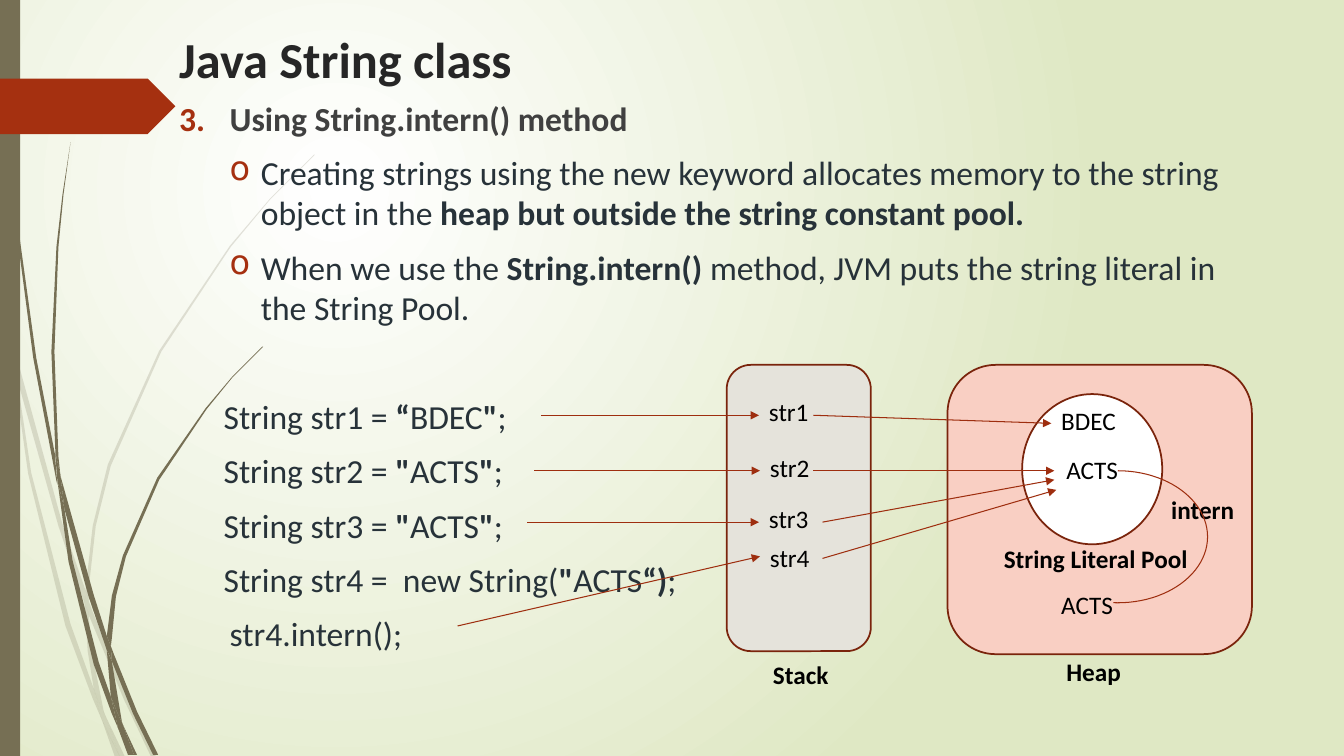
import pptx
import pptx.util
import pptx.dml.color
import pptx.enum.shapes
import pptx.enum.text
import pptx.oxml.ns
import lxml.etree
from dataclasses import dataclass

Inches = pptx.util.Inches
Pt = pptx.util.Pt
Shapes = pptx.enum.shapes.MSO_SHAPE
qn = pptx.oxml.ns.qn


@dataclass(frozen=True)
class Theme:
    font: str = "Calibri"
    title_size: int = 36
    body_size: int = 24
    label_size: int = 18
    outline_width: float = 1.25
    arrow_width: float = 0.75
    accent: str = "A53010"
    outline: str = "7A240C"
    arrow: str = "9E2E0F"
    grass: str = "766F54"
    title: str = "262626"
    heading: str = "404040"
    body: str = "273239"
    label: str = "000000"
    heap: str = "F9CFC3"
    stack: str = "E5E3DB"
    white: str = "FFFFFF"
    backdrop: str = "DFE8C4"


THEME = Theme()

FADED_BLADES = (
    "0.11,3.5 0.09,3.22 0,2.82 0,2.99 0.1,3.44",
    "0.58,5.22 0.84,5.99 0.85,5.86 0.62,5.2 0.14,3.45 0.17,3.76",
    "0.92,6.07 0.88,5.96 0.88,6.1 1.23,6.94 1.5,7.51 1.55,7.51 1.27,6.92",
    "1.19,7.51 1.24,7.51 1.05,7.11",
    "0.93,6.83 0.7,6.19 0.31,4.69 0.17,3.76 0.11,3.5 0.28,4.7 0.65,6.21 0.92,6.93 1.01,7.14 0.99,7.07",
    "0.84,5.99 0.87,6.46 0.93,6.83 0.96,6.92 1.05,7.11 1.03,7.06 0.91,6.46 0.88,6.1 0.88,6.08",
    "0.88,5.84 0.95,5.22 1.1,4.62 1.6,3.49 2.29,2.45 2.68,1.98 3.12,1.54 3.12,1.53 2.68,1.97 2.28,2.44 "
    "1.58,3.48 1.07,4.61 0.92,5.22 0.85,5.84 0.85,5.86 0.88,5.96",
    "1.01,7.14 1.14,7.51 1.19,7.51",
    "0.88,6.08 0.88,6.1 0.88,5.96 0.85,5.86 0.84,5.99",
    "0.96,6.92 0.93,6.83 0.99,7.07 1.01,7.14 1.19,7.51 1.05,7.11",
)
DARK_BLADES = (
    "0.07,1.1 0.17,2.33 0.33,3.55 0.56,4.77 0.57,4.81 0.55,4.57 0.55,4.53 0.36,3.55 0.19,2.32 0.08,1.09 "
    "0.05,0.48 0.04,0 0.03,0 0.04,0.48",
    "0.88,5.92 1.06,6.45 1.06,6.31 0.93,5.9 0.6,4.72 0.64,5.05",
    "1.13,6.49 1.1,6.41 1.11,6.56 1.32,7.08 1.52,7.49 1.57,7.49 1.36,7.06",
    "1.1,6.91 0.98,6.57 0.72,5.56 0.64,5.05 0.57,4.77 0.68,5.57 0.93,6.59 1.11,7.08 1.17,7.22 1.16,7.17",
    "0.6,4.72 0.58,4.53 0.54,3.49 0.58,2.45 0.63,1.93 0.7,1.41 0.62,1.93 0.56,2.45 0.51,3.49 0.55,4.49",
    "1.33,7.49 1.36,7.49 1.22,7.19",
    "0.57,4.77 0.64,5.05 0.6,4.72 0.55,4.49 0.55,4.53",
    "1.11,6.33 1.15,5.92 1.25,5.52 1.58,4.76 2.05,4.06 2.31,3.74 2.61,3.44 2.6,3.44 2.31,3.73 2.04,4.05 "
    "1.56,4.74 1.22,5.51 1.11,5.91 1.06,6.31 1.1,6.41",
    "1.17,7.22 1.27,7.49 1.31,7.49",
    "1.06,6.45 1.1,6.91 1.16,7.06 1.22,7.19 1.21,7.16 1.11,6.56",
    "1.06,6.45 1.09,6.51 1.11,6.56 1.1,6.41 1.06,6.31",
    "1.16,7.06 1.1,6.91 1.16,7.17 1.17,7.22 1.3,7.49 1.33,7.49 1.22,7.19",
)


def rgb(value):
    return pptx.dml.color.RGBColor.from_string(value)


def append_xml(parent, tag, **attributes):
    return lxml.etree.SubElement(parent, qn(tag), attributes)


def paint_background(slide):
    fill = slide.background.fill
    fill.gradient()
    for stop, position, colour in zip(fill.gradient_stops, (0, 1), (THEME.white, THEME.backdrop)):
        stop.position = position
        stop.color.rgb = rgb(colour)
    direction = slide._element.find(".//" + qn("a:lin"))
    circle = append_xml(direction.getparent(), "a:path", path="circle")
    append_xml(circle, "a:fillToRect", l="50000", t="50000", r="100000", b="100000")
    direction.getparent().remove(direction)


def style(shape, fill=None, line=None, width=THEME.outline_width):
    shape.shadow.inherit = False
    shape.fill.background()
    shape.line.fill.background()
    if fill:
        shape.fill.solid()
        shape.fill.fore_color.rgb = rgb(fill)
    if line:
        shape.line.color.rgb = rgb(line)
        shape.line.width = Pt(width)
    return shape


def add_block(slide, kind, box, fill=None, line=None, width=THEME.outline_width):
    return style(slide.shapes.add_shape(kind, *map(Inches, box)), fill, line, width)


def add_blade(slide, outline, opacity):
    points = [tuple(Inches(float(value)) for value in point.split(",")) for point in outline.split()]
    builder = slide.shapes.build_freeform(*points[0])
    builder.add_line_segments(points[1:])
    blade = style(builder.convert_to_shape(), THEME.grass)
    if opacity < 100:
        append_xml(blade._element.spPr.find(".//" + qn("a:srgbClr")), "a:alpha", val=str(opacity * 1000))


def format_run(run, size, colour, bold=False):
    run.font.name = THEME.font
    run.font.size = Pt(size)
    run.font.color.rgb = rgb(colour)
    run.font.bold = bold


def add_text(slide, box, text, size=THEME.label_size, colour=THEME.label, bold=False):
    label = slide.shapes.add_textbox(*map(Inches, box))
    label.text_frame.word_wrap = True
    label.text_frame.text = text
    format_run(label.text_frame.paragraphs[0].runs[0], size, colour, bold)
    return label


def add_item(paragraph, pieces, margin, hanging=0, before=10, bullet=None, **bullet_settings):
    paragraph.space_before = Pt(before)
    for index, piece in enumerate(pieces):
        run = paragraph.add_run()
        run.text = piece
        format_run(run, THEME.body_size, THEME.body, index % 2 == 1)
    properties = paragraph._p.get_or_add_pPr()
    properties.set("marL", str(Inches(margin)))
    properties.set("indent", str(-Inches(hanging)))
    if bullet:
        append_xml(append_xml(properties, "a:buClr"), "a:srgbClr", val=THEME.accent)
        append_xml(properties, bullet, **bullet_settings)


def add_body(slide):
    frame = add_text(slide, (1.68, 0.92, 10.74, 5.84), "Using String.intern() method",
                     THEME.body_size, THEME.heading, True).text_frame
    add_item(frame.paragraphs[0], [], 0.5, 0.5, bullet="a:buAutoNum", type="arabicPeriod", startAt="3")
    for pieces in (
        ["Creating strings using the new keyword allocates memory to the string object in the ",
         "heap but outside the string constant pool."],
        ["When we use the ", "String.intern() ", "method, JVM puts the string literal in the String Pool."],
    ):
        add_item(frame.add_paragraph(), pieces, 0.81, 0.31, bullet="a:buChar", char="o")
    for pieces, margin, before in (
        (["String str1 = ", "“", "BDEC", '"', ";"], 0.44, 49),
        (["String str2 = ", '"', "ACTS", '"', ";"], 0.44, 10),
        (["String str3 = ", '"', "ACTS", '"', ";"], 0.44, 10),
        (["String str4 =  new String(", '"', "ACTS", "“)", ";"], 0.44, 10),
        (["str4.intern();"], 0.5, 10),
    ):
        add_item(frame.add_paragraph(), pieces, margin, before=before)


def add_arrow(slide, start, end, target=None):
    arrow = slide.shapes.add_connector(pptx.enum.shapes.MSO_CONNECTOR.STRAIGHT, *map(Inches, start + end))
    if target:
        arrow.end_connect(target, 1)
    arrow.line.color.rgb = rgb(THEME.arrow)
    arrow.line.width = Pt(THEME.arrow_width)
    append_xml(arrow._element.spPr.find(qn("a:ln")), "a:tailEnd", type="triangle")
    append_xml(arrow._element.spPr, "a:effectLst")


def add_memory(slide):
    add_block(slide, Shapes.ROUNDED_RECTANGLE, (9.4, 3.62, 3.02, 2.87), THEME.heap, THEME.outline)
    pool = add_block(slide, Shapes.OVAL, (10.14, 3.91, 1.39, 1.49), THEME.white, THEME.outline).text_frame
    pool.text = "ACTS"
    pool.vertical_anchor = pptx.enum.text.MSO_ANCHOR.MIDDLE
    pool.paragraphs[0].alignment = pptx.enum.text.PP_ALIGN.CENTER
    format_run(pool.paragraphs[0].runs[0], THEME.label_size, THEME.label)
    add_block(slide, Shapes.ROUNDED_RECTANGLE, (7.21, 3.62, 1.43, 2.84), THEME.stack, THEME.outline)
    for text, box in (("String Literal Pool", (9.86, 5.34, 2.11, 0.4)), ("Heap", (10.48, 6.46, 1.29, 0.47)),
                      ("Stack", (7.57, 6.49, 0.95, 0.47)), ("intern", (11.52, 4.86, 0.89, 0.4))):
        add_text(slide, box, text, bold=True)
    literal = add_text(slide, (10.43, 3.97, 1.03, 0.46), "BDEC")
    add_text(slide, (10.43, 5.8, 1.03, 0.4), "ACTS")
    for name, box, code_end, start, end, target in (
        ("str1", (7.53, 3.88, 0.79, 0.48), (5.37, 4.12), (8.07, 4.12), (10.43, 4.2), literal),
        ("str2", (7.54, 4.44, 0.79, 0.46), (5.3, 4.67), (8.07, 4.67), (10.46, 4.67), None),
        ("str3", (7.53, 4.94, 0.79, 0.48), (5.23, 5.18), (8.16, 5.18), (10.46, 4.76), None),
        ("str4", (7.54, 5.33, 0.79, 0.38), (4.54, 6.21), (8.16, 5.54), (10.48, 4.86), None),
    ):
        variable = add_text(slide, box, name)
        add_arrow(slide, code_end, (box[0], box[1] + box[3] / 2), variable)
        add_arrow(slide, start, end, target)
    interning = add_block(slide, Shapes.ARC, (10.2, 4.67, 1.78, 1.31), None, THEME.arrow, THEME.arrow_width)
    interning.adjustments[0], interning.adjustments[1] = 162, 56.38


def main():
    deck = pptx.Presentation()
    deck.slide_width, deck.slide_height = Inches(40 / 3), Inches(7.5)
    slide = deck.slides.add_slide(deck.slide_layouts[6])
    paint_background(slide)
    for blades, opacity in ((FADED_BLADES, 20), (DARK_BLADES, 100)):
        for outline in blades:
            add_blade(slide, outline, opacity)
    add_block(slide, Shapes.RECTANGLE, (0, 0, 0.2, 7.5), THEME.grass)
    add_block(slide, Shapes.PENTAGON, (0, 0.78, 1.74, 0.55), THEME.accent)
    add_text(slide, (1.68, 0.23, 11.5, 1.03), "Java String class", THEME.title_size, THEME.title, True)
    add_body(slide)
    add_memory(slide)
    deck.save("out.pptx")


if __name__ == "__main__":
    main()
